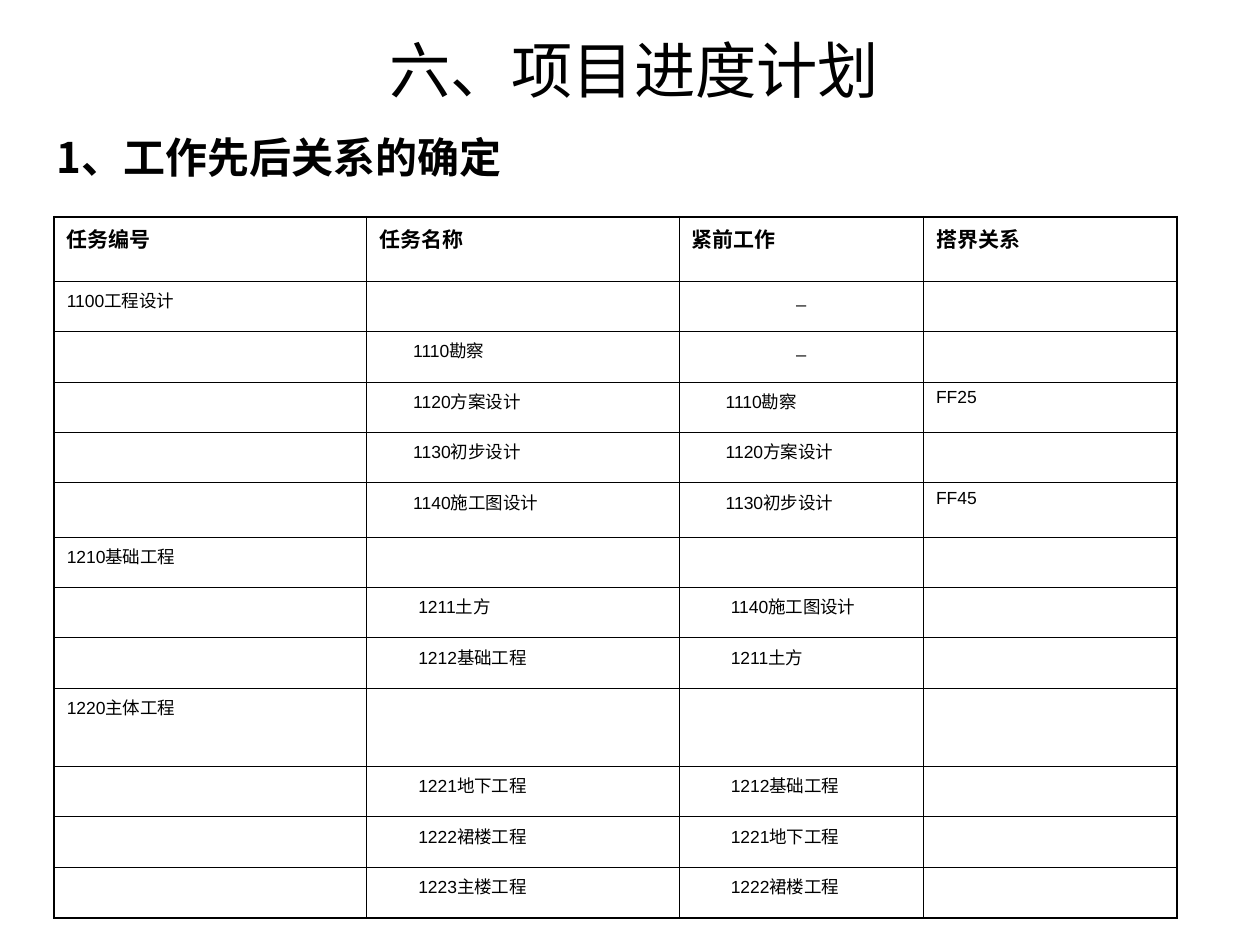
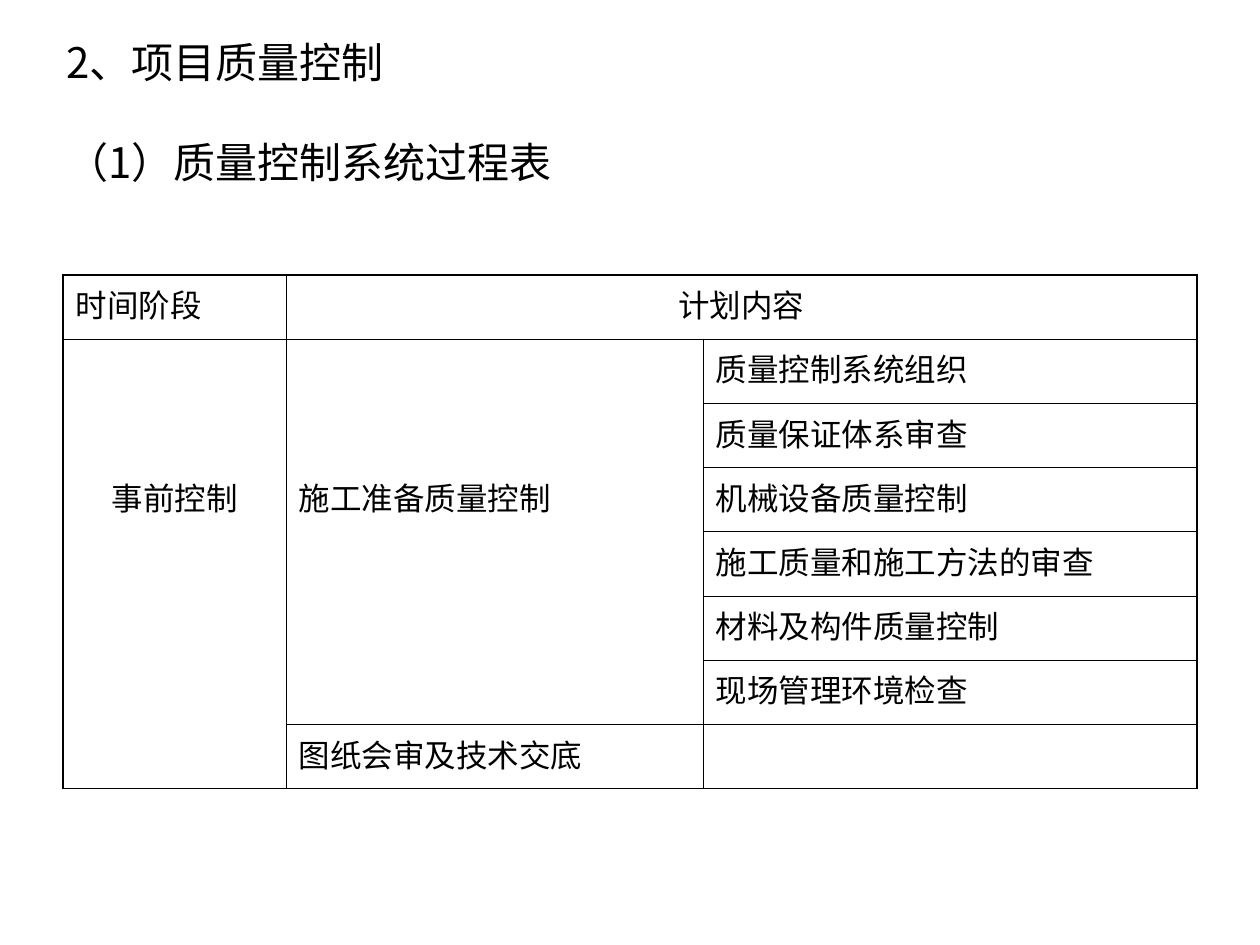
from lxml.etree import SubElement
from pptx import Presentation
from pptx.dml.color import RGBColor
from pptx.enum.text import MSO_ANCHOR, PP_ALIGN
from pptx.oxml.ns import qn
from pptx.util import Inches, Pt

COLORS = {"ink": "000000", "paper": "FFFFFF", "shadow": "808080"}
LATIN, CHINESE = "Arial", "Noto Sans CJK SC"
THIN, THICK = Pt(0.45), Pt(1.08)

# Each section: heading, what precedes it, name indent, tasks (name, predecessor, lag)
SECTIONS = [
    ("1100工程设计", "_", 0.27, [
        ("1110勘察", "_", ""),
        ("1120方案设计", "1110勘察", "FF25"),
        ("1130初步设计", "1120方案设计", ""),
        ("1140施工图设计", "1130初步设计", "FF45"),
    ]),
    ("1210基础工程", "", 0.31, [
        ("1211土方", "1140施工图设计", ""),
        ("1212基础工程", "1211土方", ""),
    ]),
    ("1220主体工程", "", 0.31, [
        ("1221地下工程", "1212基础工程", ""),
        ("1222裙楼工程", "1221地下工程", ""),
        ("1223主楼工程", "1222裙楼工程", ""),
    ]),
]
PREPARATION_CHECKS = ["质量控制系统组织", "质量保证体系审查", "机械设备质量控制",
                      "施工质量和施工方法的审查", "材料及构件质量控制", "现场管理环境检查"]


def color(name):
    return RGBColor.from_string(COLORS[name])


def add_span(para, text, size, latin=LATIN, bold=False):
    span = para.add_run()
    span.text = text
    span.font.size = Pt(size)
    span.font.bold = bold
    span.font.color.rgb = color("ink")
    span.font.name = latin
    SubElement(span.font._element, qn("a:ea"), typeface=CHINESE)
    return span


def add_text_shadow(span):
    properties = span.font._element
    effects = properties.makeelement(qn("a:effectLst"))
    properties.find(qn("a:solidFill")).addnext(effects)
    shadow = SubElement(effects, qn("a:outerShdw"), dist="25400", dir="2700000")
    SubElement(shadow, qn("a:srgbClr"), val=COLORS["shadow"])


def add_heading(page, place, lines, size, latin, align=PP_ALIGN.LEFT,
                anchor=MSO_ANCHOR.MIDDLE, bold=False, gap=0, wrap=True):
    """Add a text box with one paragraph per line and return the box."""
    box = page.shapes.add_textbox(*map(Inches, place))
    frame = box.text_frame
    frame.word_wrap = wrap
    frame.vertical_anchor = anchor
    for index, line in enumerate(lines):
        para = frame.add_paragraph() if index else frame.paragraphs[0]
        para.alignment = align
        para.line_spacing = 0.9
        if index:
            para.space_before = Pt(gap)
        add_span(para, line, size, latin, bold)
    return box


def add_grid(page, left, top, widths, heights):
    frame = page.shapes.add_table(len(heights), len(widths), Inches(left), Inches(top),
                                  Inches(sum(widths)), Inches(sum(heights)))
    table = frame.table
    table.first_row = table.horz_banding = False
    for column, width in zip(table.columns, widths):
        column.width = Inches(width)
    for row, height in zip(table.rows, heights):
        row.height = Inches(height)
    return table


def write_cell(cell, text, size, bold=False, align=PP_ALIGN.LEFT, indent=0, drop=0.05):
    cell.margin_left = Inches(0.1 + indent)
    cell.margin_top = Inches(drop)
    para = cell.text_frame.paragraphs[0]
    para.alignment = align
    if text:
        add_span(para, text, size, bold=bold)


def finish_grid(table, fill=None):
    """Rule thick outer and thin inner borders, then fill every cell."""
    last_row, last_column = len(table.rows), len(table.columns)
    for row in range(last_row):
        for column in range(last_column):
            cell = table.cell(row, column)
            outer = {
                "lnL": column == 0,
                "lnR": column + cell.span_width == last_column,
                "lnT": row == 0,
                "lnB": row + cell.span_height == last_row,
            }
            for side, is_outer in outer.items():
                if is_outer or not cell.is_spanned:
                    add_border(cell, side, THICK if is_outer else THIN)
            if fill:
                cell.fill.solid()
                cell.fill.fore_color.rgb = color(fill)
            else:
                cell.fill.background()


def add_border(cell, side, width):
    line = SubElement(cell._tc.get_or_add_tcPr(), qn("a:" + side), w=str(int(width)))
    SubElement(SubElement(line, qn("a:solidFill")), qn("a:srgbClr"), val=COLORS["ink"])


def build_schedule(page):
    add_heading(page, (0.43, 0.21, 9.21, 0.75), ["六、项目进度计划"], 35, LATIN,
                align=PP_ALIGN.CENTER)

    # Task table
    heights = [0.51] + [0.4] * 12
    heights[5], heights[9] = 0.43, 0.62
    table = add_grid(page, 0.43, 1.72, [2.48, 2.48, 1.94, 2.01], heights)
    for column, label in enumerate(["任务编号", "任务名称", "紧前工作", "搭界关系"]):
        write_cell(table.cell(0, column), label, 12, bold=True)
    rows = []
    for heading, before, indent, tasks in SECTIONS:
        rows.append((indent, heading, "", before, ""))
        rows += [(indent, "", *task) for task in tasks]
    for row, (indent, *texts) in enumerate(rows, start=1):
        for column, text in enumerate(texts):
            dash = text == "_"
            write_cell(table.cell(row, column), text, 10,
                       align=PP_ALIGN.CENTER if dash else PP_ALIGN.LEFT,
                       indent=indent if column in (1, 2) and not dash else 0)
    finish_grid(table)

    # Shadowed section heading
    box = add_heading(page, (0.35, 0.99, 3.86, 0.6), ["1、工作先后关系的确定"], 24, CHINESE,
                      anchor=MSO_ANCHOR.TOP, bold=True, wrap=False)
    box.text_frame.margin_top = box.text_frame.margin_bottom = Inches(0.1)
    add_text_shadow(box.text_frame.paragraphs[0].runs[0])


def build_quality_control(page):
    box = add_heading(page, (0.43, 0.72, 9.21, 0.75),
                      ["2、项目质量控制", "（1）质量控制系统过程表"], 24, CHINESE, gap=31)
    box.text_frame.margin_bottom = Inches(0.42)

    # Process table with merged stage cells
    table = add_grid(page, 0.5, 2.18, [1.77, 3.31, 3.92], [0.51] * 8)
    table.cell(0, 1).merge(table.cell(0, 2))
    table.cell(1, 0).merge(table.cell(7, 0))
    table.cell(1, 1).merge(table.cell(6, 1))
    write_cell(table.cell(0, 0), "时间阶段", 18)
    write_cell(table.cell(0, 1), "计划内容", 18, align=PP_ALIGN.CENTER)
    write_cell(table.cell(1, 0), "事前控制", 18, align=PP_ALIGN.CENTER, drop=1.07)
    write_cell(table.cell(1, 1), "施工准备质量控制", 18, drop=1.07)
    for row, check in enumerate(PREPARATION_CHECKS, start=1):
        write_cell(table.cell(row, 2), check, 18)
    write_cell(table.cell(7, 1), "图纸会审及技术交底", 18)
    finish_grid(table, fill="paper")


def main():
    deck = Presentation()
    deck.slide_width, deck.slide_height = Inches(10), Inches(7.5)
    blank = deck.slide_layouts[6]
    for build in (build_schedule, build_quality_control):
        page = deck.slides.add_slide(blank)
        page.background.fill.solid()
        page.background.fill.fore_color.rgb = color("paper")
        build(page)
    deck.save("out.pptx")


if __name__ == "__main__":
    main()
